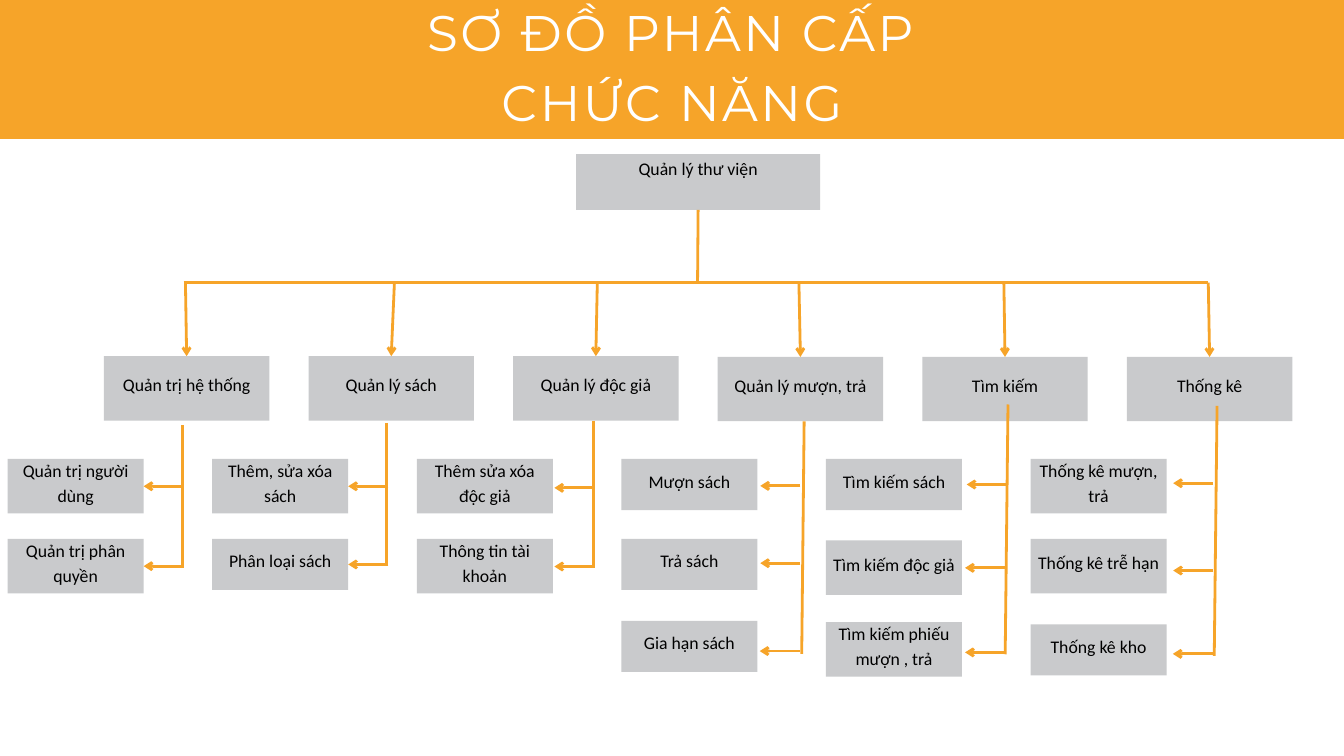
import pptx
import pptx.util
import pptx.dml.color
import pptx.enum.shapes
import pptx.enum.text
import pptx.oxml.ns
from lxml import etree
from pptx.util import Pt

ORANGE, GREY, WHITE, BLACK = "F6A429", "C9CACC", "FFFFFF", "000000"
COLUMN_STEP = 219.2
BUS_Y = 302.8
HEAD_LEFT, HEAD_WIDTH, HEAD_HEIGHT = 111.4, 177.2, 69
TASK_LEFT, TASK_WIDTH = 8.2, 145.7
ARROW_LENGTH = 43

# Each column: heading, its top, start x of its drop from the bus, trunk
# (x1, y1, x2, y2), and tasks (text, top, height, arrow start x, arrow y).
# An arrow without a y meets the middle of its task's right side.
COLUMNS = [
    ("Quản trị hệ thống", 381.6, 198.7, (195.2, 455.8, 195.2, 608), [
        ("Quản trị người dùng", 491.8, 58.4, 196.8, None),
        ("Quản trị phân quyền", 577.4, 58.4, 196.8, None)]),
    ("Quản lý sách", 381.6, 422.6, (414, 453, 414, 606), [
        ("Thêm, sửa xóa sách", 491.8, 58.4, 416, None),
        ("Phân loại sách", 577.4, 54.7, 416, None)]),
    ("Quản lý độc giả", 381.6, 640, (635.8, 451, 635.8, 607), [
        ("Thêm sửa xóa độc giả", 491.8, 58.4, 637, 522.7),
        ("Thông tin tài khoản", 577.4, 58.4, 637, 607)]),
    ("Quản lý mượn, trả", 382.4, 856, (861.6, 451.4, 859, 700.6), [
        ("Mượn sách", 491.8, 54.7, 857.6, 520.6),
        ("Trả sách", 577.4, 54.7, 857.6, 603.4),
        ("Gia hạn sách", 665.3, 54.7, 857, 697.6)]),
    ("Tìm kiếm", 382.4, 1075.6, (1080, 433.4, 1077, 701), [
        ("Tìm kiếm sách", 491.8, 54.7, 1078.8, 519.1),
        ("Tìm kiếm độc giả", 579.1, 58.4, 1077, 608.4),
        ("Tìm kiếm phiếu mượn , trả", 666.7, 58.4, 1077, 699)]),
    ("Thống kê", 382.4, 1294.6, (1304, 434.9, 1301, 702.7), [
        ("Thống kê mượn, trả", 491.8, 58.4, 1300, 517.7),
        ("Thống kê trễ hạn", 577.4, 58.4, 1300, 611.3),
        ("Thống kê kho", 668.9, 54.7, 1299.6, 700.6)]),
]


def color(hex_string):
    return pptx.dml.color.RGBColor.from_string(hex_string)


def set_margins(text_frame, side, top, bottom):
    text_frame.margin_left = text_frame.margin_right = Pt(side)
    text_frame.margin_top = Pt(top)
    text_frame.margin_bottom = Pt(bottom)


def format_paragraph(paragraph, font_name, size, hex_string, line_spacing):
    paragraph.alignment = pptx.enum.text.PP_ALIGN.CENTER
    paragraph.line_spacing = Pt(line_spacing)
    paragraph.space_before = Pt(0)
    paragraph.font.name = font_name
    paragraph.font.size = Pt(size)
    paragraph.font.color.rgb = color(hex_string)


def add_rectangle(slide, left, top, width, height, hex_string):
    shape = slide.shapes.add_shape(
        pptx.enum.shapes.MSO_SHAPE.RECTANGLE,
        Pt(left), Pt(top), Pt(width), Pt(height))
    shape.shadow.inherit = False
    shape.fill.solid()
    shape.fill.fore_color.rgb = color(hex_string)
    shape.line.fill.background()
    return shape


def add_box(slide, text, left, top, width, height, bottom_margin=11.4):
    """Add a grey box whose label sits a little above the middle."""
    box = add_rectangle(slide, left, top, width, height, GREY)
    text_frame = box.text_frame
    text_frame.word_wrap = True
    text_frame.vertical_anchor = pptx.enum.text.MSO_ANCHOR.MIDDLE
    set_margins(text_frame, 4, 0, bottom_margin)
    text_frame.text = text
    format_paragraph(text_frame.paragraphs[0], "Calibri", 19, BLACK, 26.6)
    return box


def add_line(slide, x1, y1, x2, y2, arrow=False):
    line = slide.shapes.add_connector(
        pptx.enum.shapes.MSO_CONNECTOR.STRAIGHT,
        Pt(x1), Pt(y1), Pt(x2), Pt(y2))
    line.line.color.rgb = color(ORANGE)
    line.line.width = Pt(3)
    if arrow:
        etree.SubElement(line.line._get_or_add_ln(),
                         pptx.oxml.ns.qn("a:tailEnd"), type="arrow")
    etree.SubElement(line._element.spPr, pptx.oxml.ns.qn("a:effectLst"))
    return line


def add_title(slide, text):
    title = slide.shapes.title
    title.left, title.top = Pt(368), Pt(-8.6)
    title.width, title.height = Pt(704), Pt(148.4)
    text_frame = title.text_frame
    text_frame.word_wrap = True
    text_frame.auto_size = pptx.enum.text.MSO_AUTO_SIZE.NONE
    text_frame.vertical_anchor = pptx.enum.text.MSO_ANCHOR.TOP
    set_margins(text_frame, 0, 0, 0)
    text_frame.text = text
    paragraph = text_frame.paragraphs[0]
    format_paragraph(paragraph, "Montserrat", 53.6, WHITE, 75)
    paragraph.runs[0].font._element.set("spc", "260")


def add_task(slide, left, text, top, height, arrow_x, arrow_y):
    box = add_box(slide, text, left, top, TASK_WIDTH, height)
    y = arrow_y or top + height / 2
    arrow = add_line(slide, arrow_x, y, arrow_x - ARROW_LENGTH, y, arrow=True)
    if arrow_y is None:
        arrow.end_connect(box, 3)


def add_column(slide, index, heading, top, drop_x, trunk, tasks):
    offset = index * COLUMN_STEP
    head = add_box(slide, heading, HEAD_LEFT + offset, top,
                   HEAD_WIDTH, HEAD_HEIGHT)
    drop = add_line(slide, drop_x, BUS_Y, drop_x, top, arrow=True)
    drop.end_connect(head, 0)
    add_line(slide, *trunk)
    for task in tasks:
        add_task(slide, TASK_LEFT + offset, *task)


def main():
    presentation = pptx.Presentation()
    presentation.slide_width, presentation.slide_height = Pt(1440), Pt(810)
    slide = presentation.slides.add_slide(presentation.slide_layouts[5])

    # Orange background with a white area below the title
    slide.background.fill.solid()
    slide.background.fill.fore_color.rgb = color(ORANGE)
    add_rectangle(slide, 0, 149, 1440, 661, WHITE)
    add_title(slide, "SƠ ĐỒ PHÂN CẤP CHỨC NĂNG")

    # Root function, its stem and the bus
    root = add_box(slide, "Quản lý thư viện", 617.2, 165, 261.6, 60,
                   bottom_margin=32.4)
    stem = add_line(slide, 748, 225, 747.4, BUS_Y)
    stem.begin_connect(root, 2)
    add_line(slide, 196.8, BUS_Y, 1294.6, BUS_Y)

    # Functions and their tasks
    for index, column in enumerate(COLUMNS):
        add_column(slide, index, *column)

    presentation.save("out.pptx")


if __name__ == "__main__":
    main()
